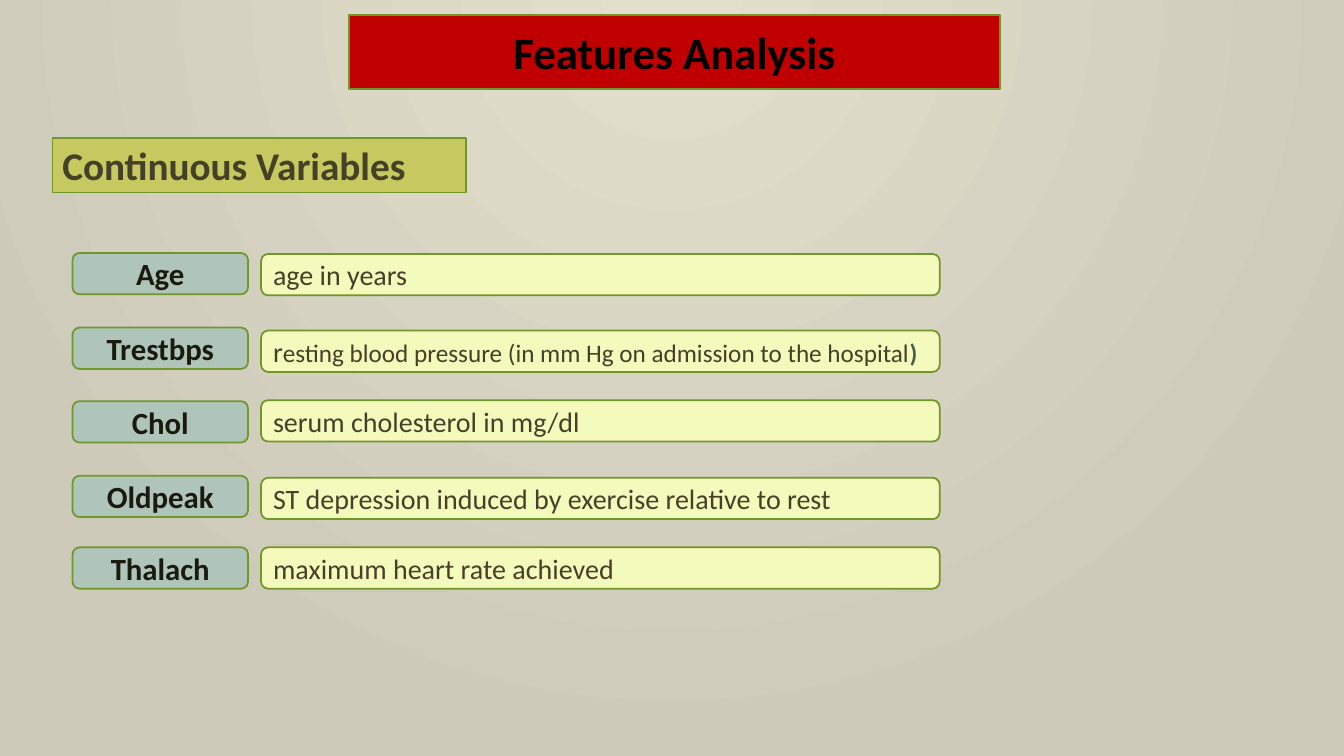
from lxml.etree import SubElement
from pptx import Presentation
from pptx.dml.color import RGBColor
from pptx.enum.shapes import MSO_SHAPE
from pptx.enum.text import MSO_ANCHOR, MSO_AUTO_SIZE, PP_ALIGN
from pptx.oxml.ns import qn
from pptx.util import Inches, Pt

RED = RGBColor(0xC0, 0x00, 0x00)
BLACK = RGBColor(0x00, 0x00, 0x00)
GREEN_LINE = RGBColor(0x71, 0x96, 0x29)
OLIVE = RGBColor(0xC6, 0xC8, 0x60)
SAGE = RGBColor(0xAF, 0xC5, 0xB9)
PALE_YELLOW = RGBColor(0xF4, 0xFA, 0xBC)
DARK_BROWN = RGBColor(0x45, 0x40, 0x27)
NEAR_BLACK = RGBColor(0x1B, 0x1A, 0x10)
DARK_GREEN = RGBColor(0x45, 0x5F, 0x51)
GLOW_CENTRE = RGBColor(0xE2, 0xDF, 0xCC)
GLOW_EDGE = RGBColor(0xCD, 0xCA, 0xB9)

# Variable, label top, description top, description runs (text, format)
VARIABLES = [
    ("Age", 2.51, 2.52, [("age in years", {})]),
    ("Trestbps", 3.25, 3.28, [
        ("r", {}),
        ("esting blood pressure (in mm Hg on admission to the hospital", {"size": 18}),
        (")", {"size": 18, "color": DARK_GREEN, "bold": True}),
    ]),
    ("Chol", 3.98, 3.97, [("serum cholesterol in mg/dl", {})]),
    ("Oldpeak", 4.72, 4.74, [("ST depression induced by exercise relative to rest", {})]),
    ("Thalach", 5.43, 5.43, [("maximum heart rate achieved", {})]),
]


def add_text(paragraph, text, size=20, color=DARK_BROWN, bold=False):
    run = paragraph.add_run()
    run.text = text
    run.font.name = "Calibri"
    run.font.size = Pt(size)
    run.font.bold = bold
    run.font.color.rgb = color


class FeatureSlide:
    def __init__(self, presentation):
        self.outline = GREEN_LINE
        self.outline_width = Pt(1.25)
        self.slide = presentation.slides.add_slide(presentation.slide_layouts[5])

    def background(self, centre, edge):
        fill = self.slide.background.fill
        fill.gradient()
        for stop, color, position in zip(fill.gradient_stops, (centre, edge), (0, 1)):
            stop.color.rgb = color
            stop.position = position
        # Radial glow from the top middle
        gradient = self.slide.element.find(".//" + qn("a:gradFill"))
        gradient.remove(gradient.find(qn("a:lin")))
        glow = SubElement(gradient, qn("a:path"), {"path": "circle"})
        SubElement(glow, qn("a:fillToRect"),
                   {"l": "43000", "t": "0", "r": "43000", "b": "100000"})

    def style(self, box, fill, runs, align):
        box.fill.solid()
        box.fill.fore_color.rgb = fill
        box.line.color.rgb = self.outline
        box.line.width = self.outline_width
        frame = box.text_frame
        frame.word_wrap = True
        frame.auto_size = MSO_AUTO_SIZE.NONE
        frame.vertical_anchor = MSO_ANCHOR.MIDDLE
        paragraph = frame.paragraphs[0]
        paragraph.alignment = align
        for text, text_format in runs:
            add_text(paragraph, text, **text_format)

    def title(self, left, top, width, height, text):
        heading = self.slide.shapes.title
        heading.left, heading.top = Inches(left), Inches(top)
        heading.width, heading.height = Inches(width), Inches(height)
        runs = [(text, {"size": 32, "color": BLACK, "bold": True})]
        self.style(heading, RED, runs, PP_ALIGN.CENTER)

    def box(self, left, top, width, height, fill, runs,
            align=PP_ALIGN.LEFT, outline_shape=MSO_SHAPE.ROUNDED_RECTANGLE):
        box = self.slide.shapes.add_shape(
            outline_shape, Inches(left), Inches(top), Inches(width), Inches(height))
        box.shadow.inherit = False
        self.style(box, fill, runs, align)


def main():
    presentation = Presentation()
    presentation.slide_width = Inches(13.33)
    presentation.slide_height = Inches(7.5)
    features = FeatureSlide(presentation)

    # Background and headings
    features.background(GLOW_CENTRE, GLOW_EDGE)
    features.title(3.46, 0.15, 6.46, 0.73, "Features Analysis")
    features.box(0.52, 1.37, 4.1, 0.54, OLIVE,
                 [("Continuous Variables", {"size": 28, "bold": True})],
                 outline_shape=MSO_SHAPE.RECTANGLE)

    # Variables with their descriptions
    for variable, label_top, description_top, description in VARIABLES:
        label = [(variable, {"size": 22, "color": NEAR_BLACK, "bold": True})]
        features.box(0.72, label_top, 1.74, 0.41, SAGE, label, PP_ALIGN.CENTER)
        features.box(2.59, description_top, 6.73, 0.41, PALE_YELLOW, description)

    presentation.save("out.pptx")


if __name__ == "__main__":
    main()
